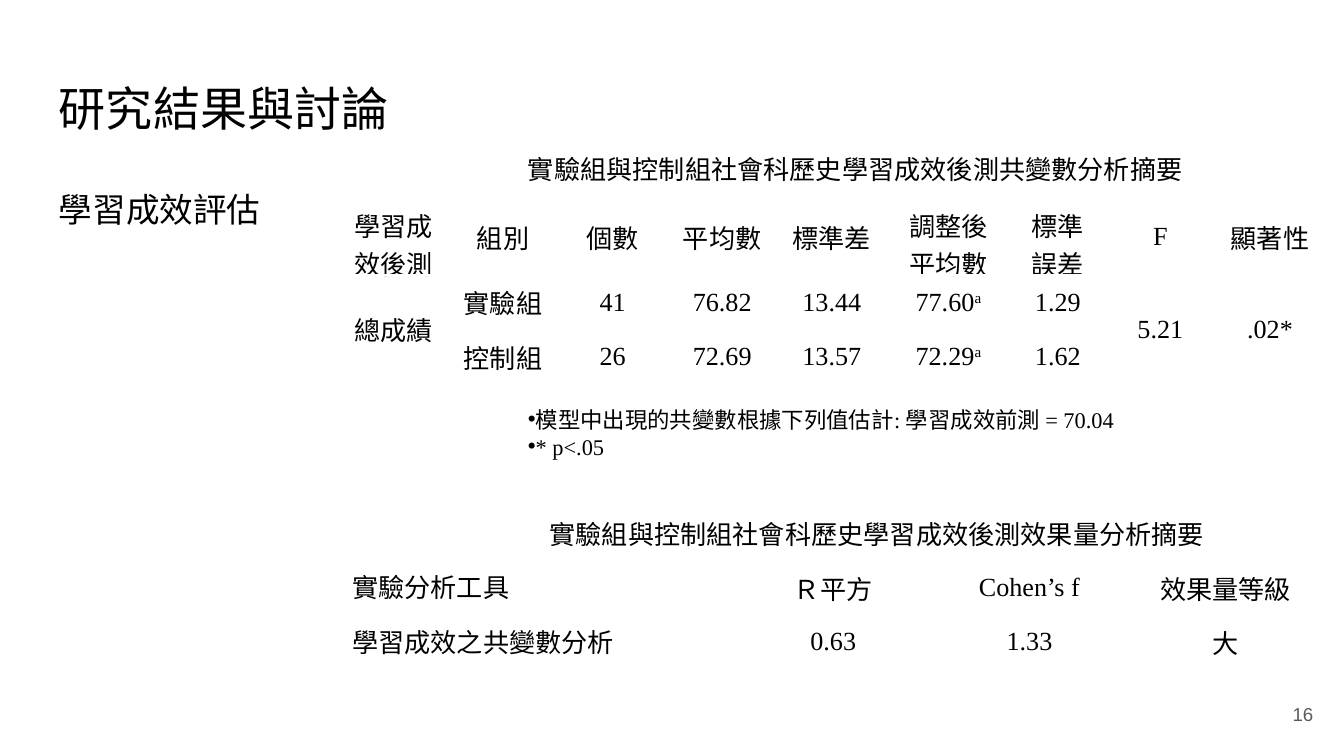
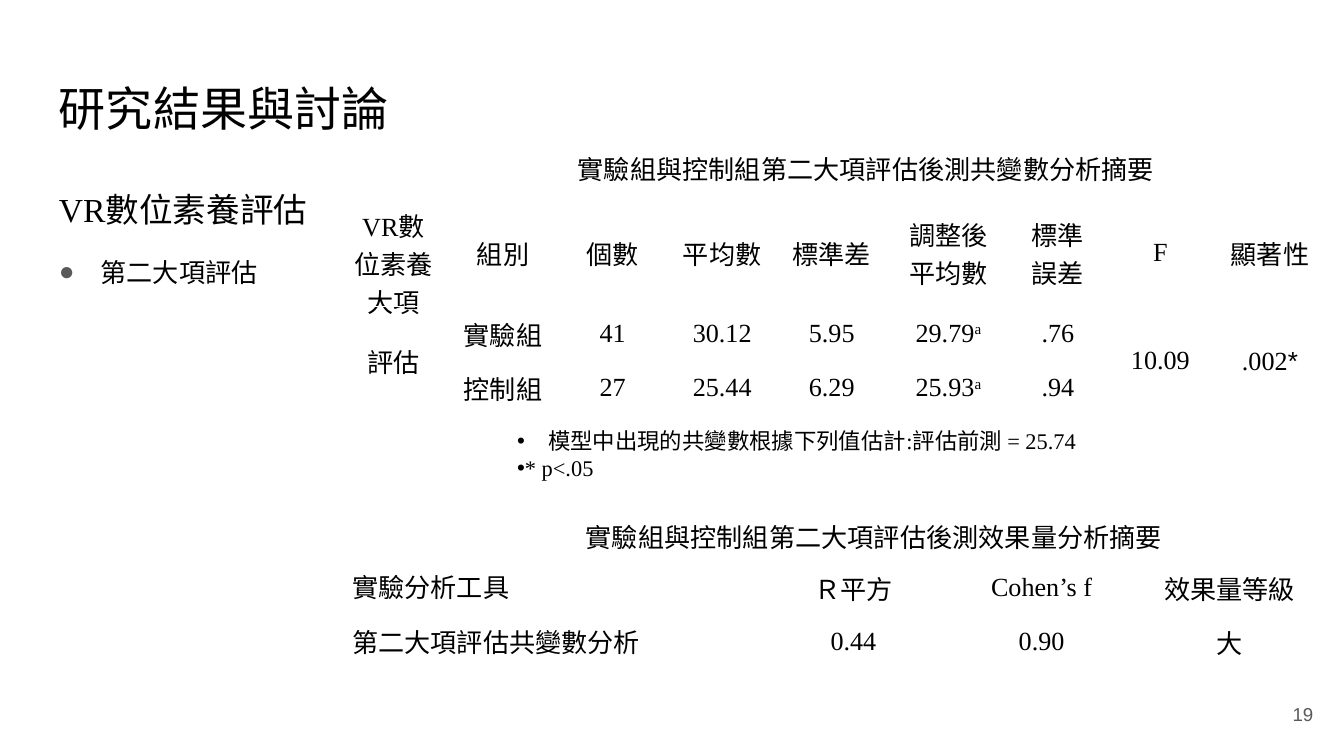
from dataclasses import dataclass
from lxml import etree
from pptx import Presentation
from pptx.dml.color import RGBColor
from pptx.enum import text as t
from pptx.oxml import ns
from pptx.util import Inches, Pt


@dataclass(frozen=True)
class Theme:
    ink: str = "000000"
    gray: str = "595959"
    sans: str = "Arial"
    cjk: str = "Noto Sans CJK SC"
    serif: str = "Times New Roman"
    title: float = 25.2
    head: float = 18
    base: float = 14
    note: float = 12
    foot: float = 10


th = Theme()
mid = t.MSO_ANCHOR.MIDDLE
mark = "•"


def write(para, runs, size, face, color=th.ink):
    for part in [runs] if isinstance(runs, str) else runs:
        words, name = (part, face) if isinstance(part, str) else part
        run = para.add_run()
        run.text = words
        run.font.size = Pt(size)
        run.font.name = name
        run.font.color.rgb = RGBColor.from_string(color)
        props = run._r.get_or_add_rPr()
        etree.SubElement(props, ns.qn("a:ea"), typeface=th.cjk)
        if words == "a":
            props.set("baseline", "30000")


def box(slide, area, paras, size, face, color=th.ink, pad=0.05, wrap=True, fit=False, anchor=None):
    frame = slide.shapes.add_textbox(*map(Inches, area)).text_frame
    frame.word_wrap = wrap
    frame.margin_left = frame.margin_right = Inches(0.1)
    frame.margin_top = frame.margin_bottom = Inches(pad)
    frame.auto_size = t.MSO_AUTO_SIZE.SHAPE_TO_FIT_TEXT if fit else t.MSO_AUTO_SIZE.NONE
    if anchor is not None:
        frame.vertical_anchor = anchor
    for n, (runs, dot, dent, scale) in enumerate(paras):
        para = frame.add_paragraph() if n else frame.paragraphs[0]
        props = para._p.get_or_add_pPr()
        if dot:
            props.set("marL", str(Inches(dent)))
            props.set("indent", str(-Inches(dent)))
            if dot != mark:
                tint = etree.SubElement(props, ns.qn("a:buClr"))
                etree.SubElement(tint, ns.qn("a:srgbClr"), val=th.gray)
            etree.SubElement(props, ns.qn("a:buFont"), typeface=th.sans)
            etree.SubElement(props, ns.qn("a:buChar"), char=dot)
        write(para, runs, scale or size, face, color)
    return frame


pages = [
    dict(
        num="16",
        wide=1.8,
        body=[("學習成效評估", "", 0, 0)],
        note=(3.83, 2.97, "模型中出現的共變數根據下列值估計: 學習成效前測 = 70.04", 0),
        caps=[
            (3.83, 1.09, 5.11, ["實驗組與控制組社會科歷史學習成效後測共變數分析摘要"]),
            (3.99, 3.81, 5.11, ["實驗組與控制組社會科歷史學習成效後測效果量分析摘要"]),
        ],
        lead="學習成效後測",
        rows=[
            ["總成績", "實驗組", "41", "76.82", "13.44", ["77.60", "a"], "1.29", "5.21", ".02*"],
            ["", "控制組", "26", "72.69", "13.57", ["72.29", "a"], "1.62", "", ""],
        ],
        cols=[2.95] + [1.46] * 3,
        sums=["學習成效之共變數分析", "0.63", "1.33", "大"],
    ),
    dict(
        num="19",
        wide=2.18,
        body=[
            ([("VR", th.serif), "數位素養評估"], "", 0, 0),
            ("第二大項評估", "●", 0.31, th.base),
        ],
        note=(3.75, 3.13, "模型中出現的共變數根據下列值估計:評估前測 = 25.74", 0.23),
        caps=[
            (4.2, 1.09, 4.52, ["實驗組與控制組", ("第二大項評估", th.serif), "後測共變數分析摘要"]),
            (4.26, 3.83, 4.52, ["實驗組與控制組", ("第二大項評估", th.serif), "後測效果量分析摘要"]),
        ],
        lead="VR數位素養大項",
        rows=[
            ["評估", "實驗組", "41", "30.12", "5.95", ["29.79", "a"], ".76", "10.09", [".002", ("*", th.sans)]],
            ["", "控制組", "27", "25.44", "6.29", ["25.93", "a"], ".94", "", ""],
        ],
        cols=[3.13] + [1.4] * 3,
        sums=["第二大項評估共變數分析", "0.44", "0.90", "大"],
    ),
]
heads = ["組別", "個數", "平均數", "標準差", "調整後平均數", "標準誤差", "F", "顯著性"]
tools = ["實驗分析工具", "Ｒ平方", "Cohen’s f", "效果量等級"]
spans = [0, 7, 8]
span = 7.34
high = 0.81 / 2
step = (span - 0.92 - 0.71) / 7

deck = Presentation()
deck.slide_width = Inches(10)
deck.slide_height = deck.slide_width * 9 // 16

for page in pages:
    slide = deck.slides.add_slide(deck.slide_layouts[6])
    box(slide, (0.34, 0.49, 9.32, 0.63), [("研究結果與討論", "", 0, 0)], th.title, th.sans, pad=0.1)
    body = box(slide, (0.34, 1.26, page["wide"], 3.64), page["body"], th.head, th.cjk, pad=0.1)
    for para in body.paragraphs:
        para.line_spacing = 1.15
        para.space_after = Pt(12)
    foot = box(slide, (9.27, 5.1, 0.6, 0.43), [(page["num"], "", 0, 0)],
               th.foot, th.sans, th.gray, pad=0.1, anchor=mid)
    foot.paragraphs[0].alignment = t.PP_ALIGN.RIGHT
    left, top, words, dent = page["note"]
    box(slide, (left, top, 5.43, 0.5), [(words, mark, dent, 0), ("* p<.05", mark, 0, 0)],
        th.note, th.serif, fit=True, anchor=mid)

    main = [[page["lead"]] + heads] + page["rows"]
    grids = [
        (1.48, [step] * 5 + [0.92, 0.71] + [step] * 2, main, spans),
        (4.17, page["cols"], [tools, page["sums"]], []),
    ]
    for (top, cols, rows, joins), (left, head, wide, title) in zip(grids, page["caps"]):
        area = map(Inches, (2.52, top, span, high * len(rows)))
        grid = slide.shapes.add_table(len(rows), len(cols), *area).table
        grid.first_row = grid.horz_banding = False
        for col, size in zip(grid.columns, cols):
            col.width = Inches(size)
        for r, row in enumerate(rows):
            grid.rows[r].height = Inches(high)
            for c, runs in enumerate(row):
                cell = grid.cell(r, c)
                cell.fill.background()
                if joins or c:
                    cell.vertical_anchor = mid
                    cell.text_frame.paragraphs[0].alignment = t.PP_ALIGN.CENTER
                if runs:
                    write(cell.text_frame.paragraphs[0], runs, th.base, th.serif)
        for c in joins:
            grid.cell(1, c).merge(grid.cell(2, c))
        box(slide, (left, head, wide, 0.34), [(title, "", 0, 0)], th.base, th.cjk, wrap=False, fit=True)

deck.save("out.pptx")
